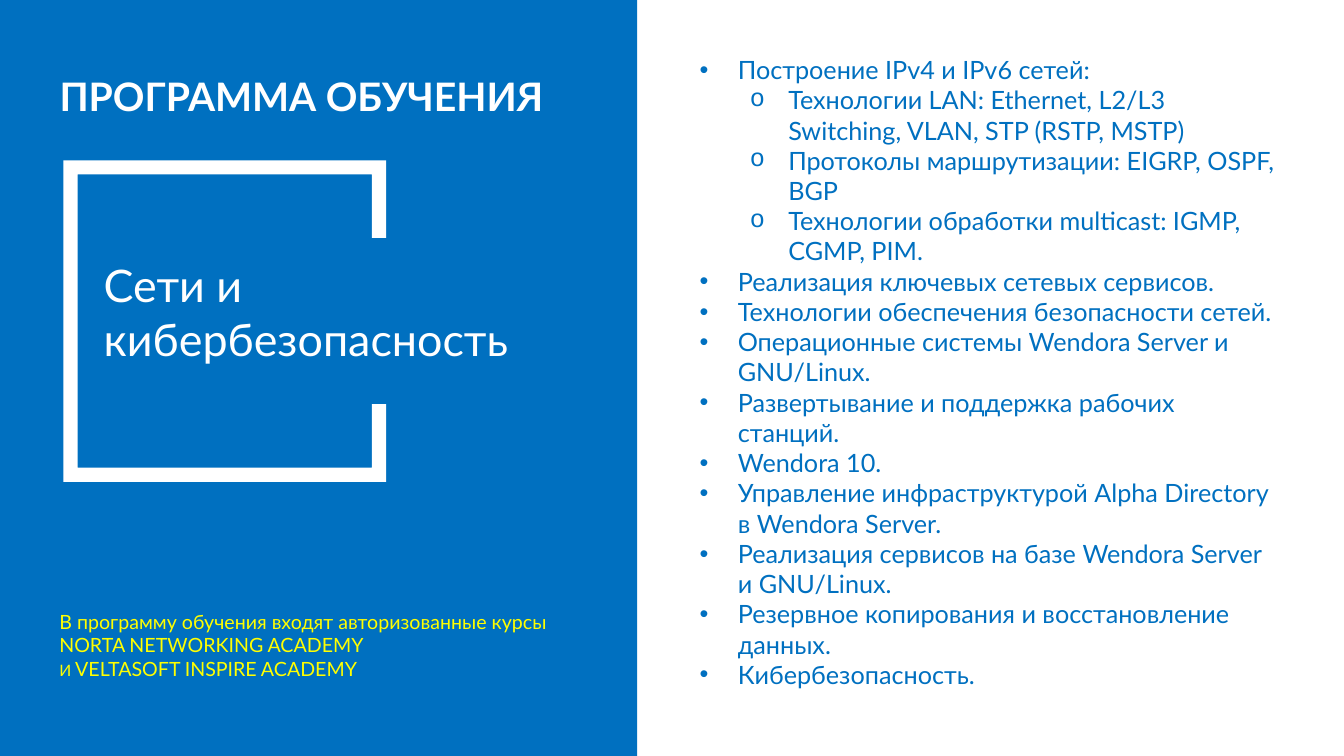
from pptx import Presentation
from pptx.dml.color import RGBColor
from pptx.enum.shapes import MSO_SHAPE as Shape
from pptx.enum.text import MSO_ANCHOR as Anchor, MSO_AUTO_SIZE as Fit, PP_ALIGN as Align
from pptx.util import Inches, Pt
from lxml.etree import SubElement
from pptx.oxml.ns import qn

BLUE = RGBColor(0x00, 0x70, 0xC0)
WHITE = RGBColor(0xFF, 0xFF, 0xFF)
YELLOW = RGBColor(0xFF, 0xFF, 0x00)

deck = Presentation()
deck.slide_width, deck.slide_height = Inches(13.33), Inches(7.5)
slide = deck.slides.add_slide(deck.slide_layouts[5])
shapes = slide.shapes


def place(box, left, top, width, height):
    box.left, box.top = Inches(left), Inches(top)
    box.width, box.height = Inches(width), Inches(height)
    frame = box.text_frame
    frame.word_wrap, frame.auto_size = True, Fit.NONE
    frame.vertical_anchor = Anchor.TOP
    return frame


def write(frame, lines, size, color, bold=False):
    style = {"name": "Lato", "size": Pt(size), "bold": bold}
    for i, line in enumerate(lines):
        para = frame.paragraphs[0] if i == 0 else frame.add_paragraph()
        para.alignment, para.line_spacing = Align.LEFT, 1.0
        run = para.add_run()
        run.text = line
        for key, value in style.items():
            setattr(run.font, key, value)
        run.font.color.rgb = color


# Left panel, kept behind the title
panel = shapes.add_shape(Shape.RECTANGLE, 0, 0, Inches(6.32), deck.slide_height)
panel.shadow.inherit = False
panel.fill.solid()
panel.fill.fore_color.rgb = BLUE
panel.line.fill.background()
shapes.title._element.addprevious(panel._element)

# Title
write(place(shapes.title, 0.49, 0.67, 6.2, 0.57),
      ["ПРОГРАММА ОБУЧЕНИЯ"], 28, WHITE, True)

# Open bracket: a square frame with a gap in its right side
left, top, right, low = 0.63, 1.59, 3.83, 4.78
bar, arm = 0.14, 0.77
half = [(right, top), (right, top + arm), (right - bar, top + arm),
        (right - bar, top + bar), (left + bar, top + bar)]
mirror = [(x, top + low - y) for x, y in reversed(half)]
points = [(Inches(x), Inches(y)) for x, y in half + mirror + [(left, low)]]
path = shapes.build_freeform(Inches(left), Inches(top))
path.add_line_segments(points, close=True)
frame = path.convert_to_shape()
frame.shadow.inherit = False
frame.fill.solid()
frame.fill.fore_color.rgb = WHITE
frame.line.fill.background()

# Topic
topic = shapes.add_textbox(0, 0, 0, 0)
write(place(topic, 0.93, 2.51, 4.34, 1.18),
      ["Сети и", "кибербезопасность"], 32, WHITE)

# Course list
items = [
    (0, "Построение IPv4 и IPv6 сетей:"),
    (1, "Технологии LAN: Ethernet, L2/L3 Switching, VLAN, STP (RSTP, MSTP)"),
    (1, "Протоколы маршрутизации: EIGRP, OSPF, BGP"),
    (1, "Технологии обработки multicast: IGMP, CGMP, PIM."),
    (0, "Реализация ключевых сетевых сервисов."),
    (0, "Технологии обеспечения безопасности сетей."),
    (0, "Операционные системы Wendora Server и GNU/Linux."),
    (0, "Развертывание и поддержка рабочих станций."),
    (0, "Wendora 10."),
    (0, "Управление инфраструктурой Alpha Directory в Wendora Server."),
    (0, "Реализация сервисов на базе Wendora Server и GNU/Linux."),
    (0, "Резервное копирования и восстановление данных."),
    (0, "Кибербезопасность."),
]
marks = [("Arial", "•"), ("Courier New", "o")]
body = place(shapes.add_textbox(0, 0, 0, 0), 6.84, 0.49, 5.94, 6.77)
write(body, [text for level, text in items], 18, BLUE)
for para, (level, text) in zip(body.paragraphs, items):
    para.level = level
    props = para._p.get_or_add_pPr()
    props.set("marL", str(Inches(0.38 + 0.5 * level)))
    props.set("indent", str(Inches(-0.38)))
    font, mark = marks[level]
    SubElement(props, qn("a:buFont")).set("typeface", font)
    SubElement(props, qn("a:buChar")).set("char", mark)

# Note on partner courses, with small capitals after the first line
note = place(shapes.add_textbox(0, 0, 0, 0), 0.49, 6, 5.74, 1.04)
write(note, ["В программу обучения входят авторизованные курсы",
             "NORTA NETWORKING ACADEMY",
             "и VELTASOFT INSPIRE ACADEMY"], 14, YELLOW)
for para in note.paragraphs[1:]:
    para.runs[0]._r.get_or_add_rPr().set("cap", "small")

deck.save("out.pptx")
